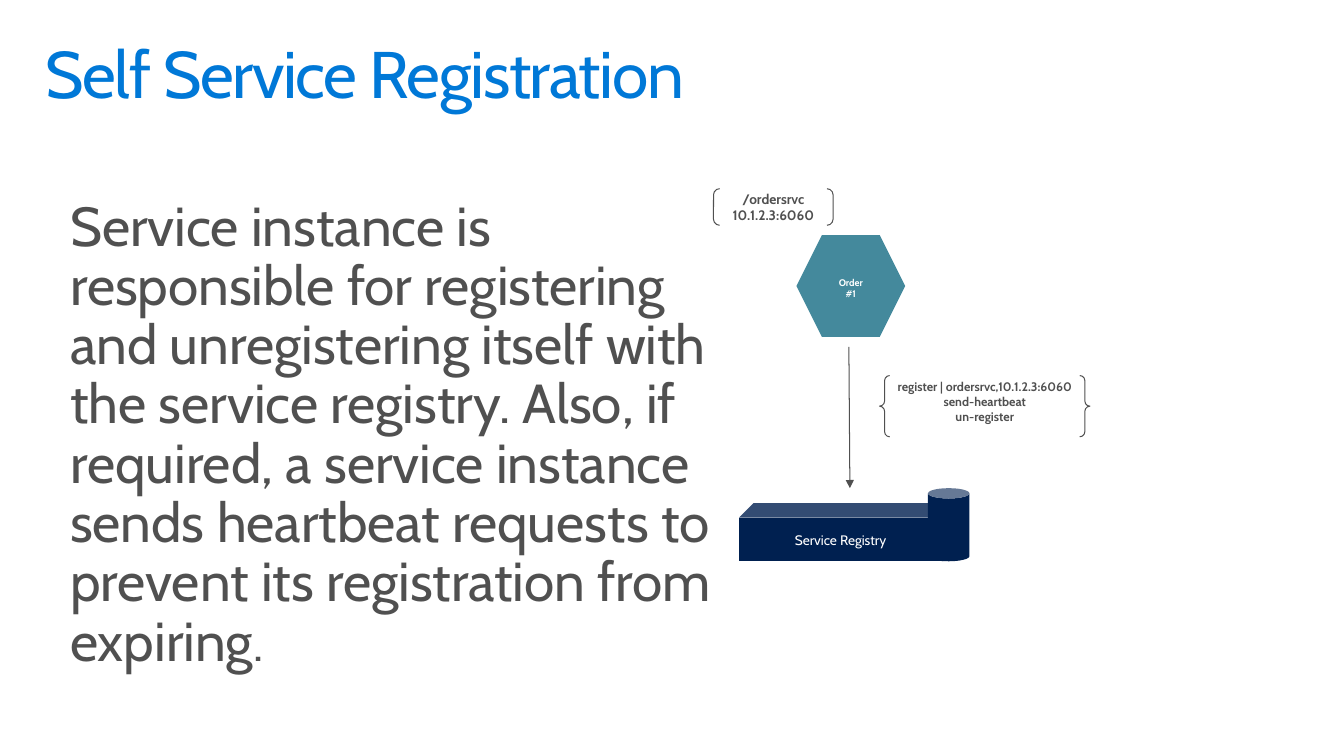
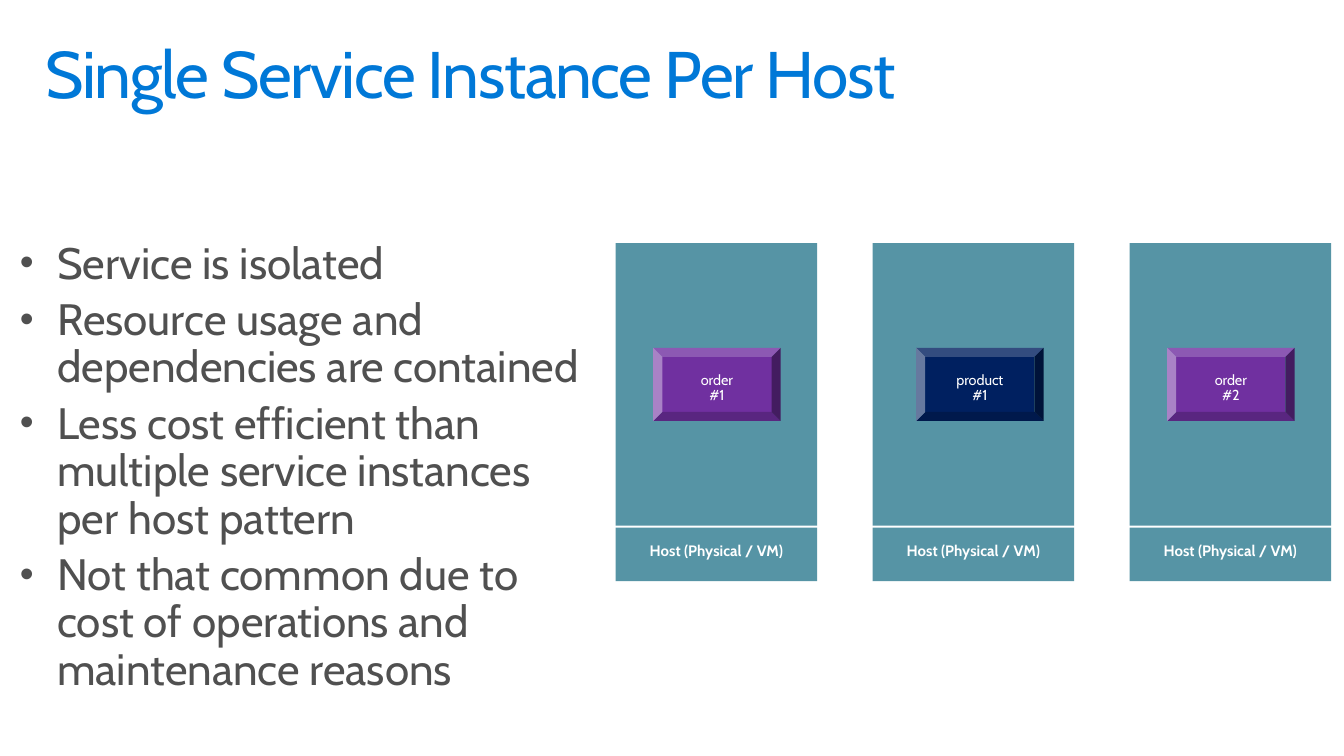
from lxml.etree import SubElement
from pptx import Presentation
from pptx.dml.color import RGBColor
from pptx.enum.shapes import MSO_CONNECTOR as CONN, MSO_SHAPE as SHAPE
from pptx.enum.text import MSO_ANCHOR as ANCHOR, MSO_AUTO_SIZE as FIT, PP_ALIGN as ALIGN
from pptx.oxml.ns import qn
from pptx.util import Emu, Pt

PX = 9144
FONT = "Cabin"
BLUE, GRAY, WHITE = "0078D7", "505050", "FFFFFF"
TEAL, NAVY, PURPLE = "44899C", "002050", "7030A0"
PRODUCT = "002060"
TEXT_INSETS = (16, 10, 16, 10)
SHAPE_INSETS = (20, 16, 20, 16)


def px(n):
    return Emu(n * PX)


def rgb(color):
    return RGBColor.from_string(color)


def add_run(p, text, size, color, bold=False, spacing=None):
    r = p.add_run()
    r.text = text
    r.font.name = FONT
    r.font.size = Pt(size)
    r.font.bold = bold
    r.font.color.rgb = rgb(color)
    if spacing is not None:
        r._r.get_or_add_rPr().set("spc", str(spacing * 100))


def set_bullet(p, char):
    pPr = p._p.get_or_add_pPr()
    indent = px(38) if char else 0
    pPr.set("marL", str(indent))
    pPr.set("indent", str(-indent))
    if char:
        SubElement(pPr, qn("a:buSzPct")).set("val", "90000")
        SubElement(pPr, qn("a:buFont")).set("typeface", "Arial")
        SubElement(pPr, qn("a:buChar")).set("char", char)
    else:
        SubElement(pPr, qn("a:buNone"))


def write(sp, lines, size, color, bold=False, align=ALIGN.CENTER, anchor=ANCHOR.TOP,
          insets=SHAPE_INSETS, leading=0.9, before=0, bullet=None, spacing=None):
    tf = sp.text_frame
    tf.word_wrap = True
    tf.vertical_anchor = anchor
    tf.margin_left, tf.margin_top, tf.margin_right, tf.margin_bottom = map(px, insets)
    for i, line in enumerate(lines):
        p = tf.paragraphs[0] if i == 0 else tf.add_paragraph()
        p.alignment = align
        p.line_spacing = leading
        p.space_before = Pt(before if i else 0)
        if sp.is_placeholder:
            set_bullet(p, bullet)
        add_run(p, line, size, color, bold, spacing)
    return tf


def place(sp, x, y, w, h):
    sp.left, sp.top, sp.width, sp.height = map(px, (x, y, w, h))


def add_slide(prs, title, body, box, size, bullet=None):
    s = prs.slides.add_slide(prs.slide_layouts[1])
    heading, content = s.placeholders
    place(heading, 30, 32, 1300, 100)
    write(heading, [title], 48, BLUE, align=ALIGN.LEFT, insets=TEXT_INSETS, spacing=-1)
    place(content, *box)
    tf = write(content, body, size, GRAY, align=ALIGN.LEFT, insets=TEXT_INSETS,
               before=size * 0.2, bullet=bullet)
    tf.auto_size = FIT.SHAPE_TO_FIT_TEXT
    return s, tf


def add_block(shapes, kind, x, y, w, h, fill=None, line=None, alpha=None):
    sp = shapes.add_shape(kind, *map(px, (x, y, w, h)))
    sp.shadow.inherit = False
    if fill:
        sp.fill.solid()
        sp.fill.fore_color.rgb = rgb(fill)
    else:
        sp.fill.background()
    if alpha:
        color = sp._element.spPr.find(qn("a:solidFill"))[0]
        SubElement(color, qn("a:alpha")).set("val", str(alpha * 1000))
    if line:
        sp.line.color.rgb = rgb(line)
        sp.line.width = Pt(0.75)
    else:
        sp.line.fill.background()
    return sp


def add_arrow(shapes, x1, y1, x2, y2):
    cx = shapes.add_connector(CONN.STRAIGHT, *map(px, (x1, y1, x2, y2)))
    cx.line.color.rgb = rgb(GRAY)
    cx.line.width = Pt(0.75)
    spPr = cx._element.spPr
    SubElement(spPr.find(qn("a:ln")), qn("a:tailEnd")).set("type", "triangle")
    SubElement(spPr, qn("a:effectLst"))


def add_note(shapes, kind, box, lines, size, insets):
    sp = add_block(shapes, kind, *box, line=GRAY)
    write(sp, lines, size, GRAY, bold=True, anchor=ANCHOR.MIDDLE, insets=insets, leading=1.0)


def add_registry(shapes):
    group = shapes.add_group_shape().shapes
    base = add_block(group, SHAPE.CUBE, 748, 509, 220, 59, NAVY)
    write(base, ["Service Registry"], 10, WHITE)
    add_block(group, SHAPE.CAN, 939, 494, 42, 74, NAVY)


def add_host(shapes, x, service, number, color, offset):
    group = shapes.add_group_shape().shapes
    add_block(group, SHAPE.RECTANGLE, x, 246, 204, 286, TEAL, alpha=90)
    instance = add_block(group, SHAPE.BEVEL, x + offset, 352, 129, 74, color)
    write(instance, [service, number], 10.5, WHITE)
    label = add_block(group, SHAPE.RECTANGLE, x, 534, 204, 54, TEAL, alpha=90)
    write(label, ["Host (Physical / VM)"], 11, WHITE, bold=True)


def build_registration(prs):
    text = ("Service instance is responsible for registering and unregistering itself with "
            "the service registry. Also, if required, a service instance sends heartbeat "
            "requests to prevent its registration from expiring")
    s, tf = add_slide(prs, "Self Service Registration", [text], (55, 191, 729, 505), 40)
    add_run(tf.paragraphs[0], ".", 36, GRAY)
    order = add_block(s.shapes, SHAPE.HEXAGON, 806, 238, 110, 103, TEAL)
    write(order, ["Order", "#1"], 7, WHITE, bold=True, anchor=ANCHOR.MIDDLE,
          insets=(20, 22, 20, 16))
    add_arrow(s.shapes, 859, 351, 860, 494)
    add_registry(s.shapes)
    add_note(s.shapes, SHAPE.DOUBLE_BRACE, (890, 380, 213, 62),
             ["register | ordersrvc,10.1.2.3:6060", "send-heartbeat", "un-register"],
             9, (10, 5, 10, 20))
    add_note(s.shapes, SHAPE.DOUBLE_BRACKET, (722, 191, 121, 37),
             ["/ordersrvc", "10.1.2.3:6060"], 10, (10, 5, 10, 5))


def build_hosts(prs):
    s, _ = add_slide(prs, "Single Service Instance Per Host", [
        "Service is isolated",
        "Resource usage and dependencies are contained",
        "Less cost efficient than multiple service instances per host pattern",
        "Not that common due to cost of operations and maintenance reasons",
    ], (4, 234, 601, 489), 32, bullet="•")
    hosts = [("order", "#1", PURPLE, 38), ("product", "#1", PRODUCT, 44),
             ("order", "#2", PURPLE, 38)]
    for i, host in enumerate(hosts):
        add_host(s.shapes, 623 + 260 * i, *host)


def main():
    prs = Presentation()
    prs.slide_width, prs.slide_height = px(1360), px(765)
    build_registration(prs)
    build_hosts(prs)
    prs.save("out.pptx")


if __name__ == "__main__":
    main()
